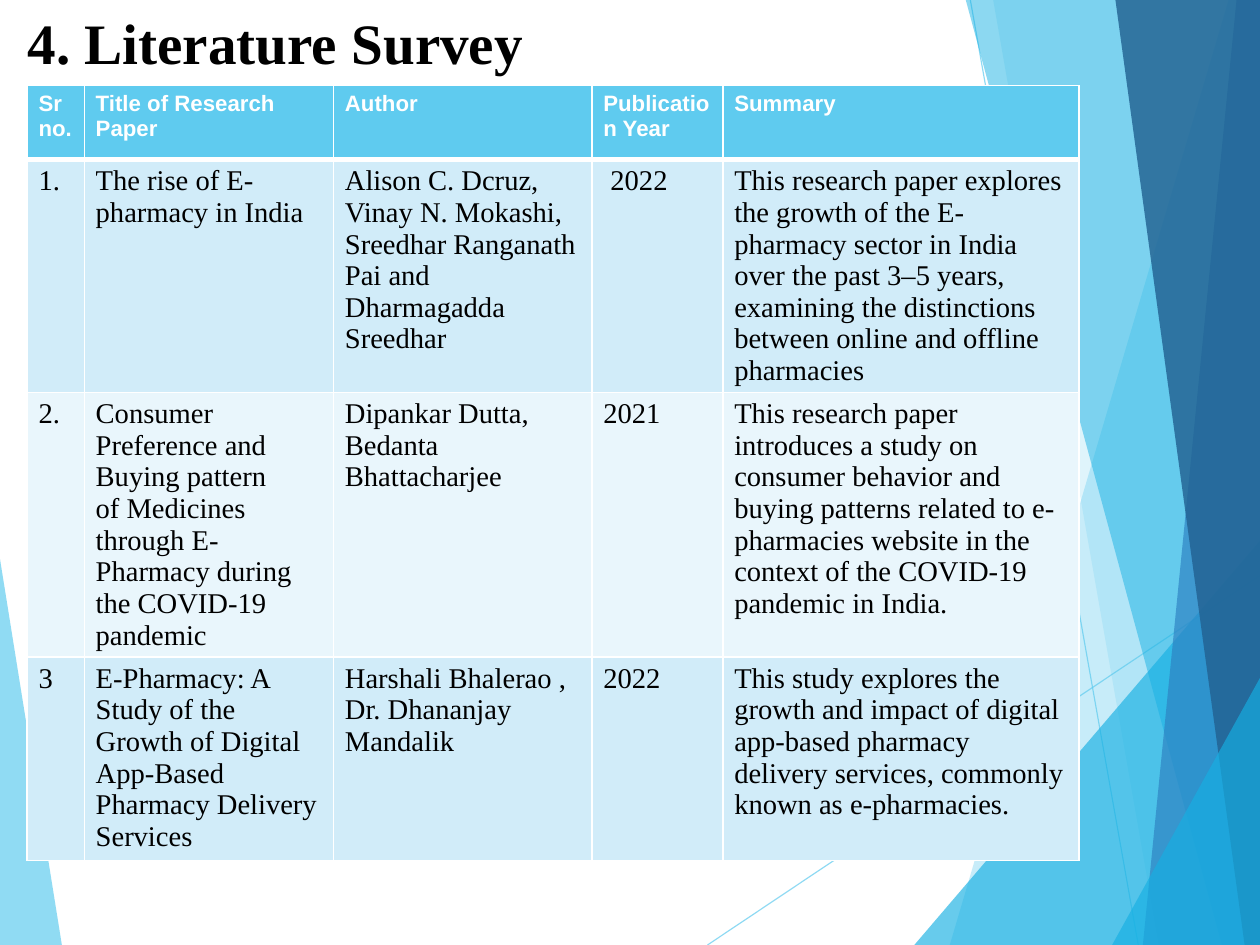
"""Builds the literature survey slide of an e-pharmacy project."""
from dataclasses import dataclass

from lxml.etree import SubElement
from pptx import Presentation
from pptx.dml.color import RGBColor as Rgb
from pptx.enum.shapes import MSO_CONNECTOR as Connector
from pptx.enum.text import MSO_ANCHOR as Anchor, MSO_AUTO_SIZE as AutoSize, PP_ALIGN as Align
from pptx.oxml.ns import qn
from pptx.util import Pt

WIDTH, HEIGHT = 793.75, 595.25
HARD_SPACE = chr(160)


@dataclass(frozen=True)
class Theme:
    """Colours, fonts and type sizes of the slide."""

    sky: str = "5FCBEF"
    cyan: str = "16B0E3"
    blue: str = "2E83C3"
    navy: str = "226292"
    band_dark: str = "D1ECF9"
    band_light: str = "E9F6FC"
    ink: str = "000000"
    paper: str = "FFFFFF"
    heading_font: str = "Arial"
    body_font: str = "Times New Roman"
    title_size: float = 36
    heading_size: float = 14
    body_size: float = 18


THEME = Theme()

LEFT_FACET = [(0, 352), (39, HEIGHT), (0, HEIGHT)]
RAYS = [((445.7, HEIGHT), (WIDTH, 362.5)), ((611.3, 0), (717.1, HEIGHT))]
RIGHT_FACETS = [
    ([(774, 0), (598.3, HEIGHT), (WIDTH, HEIGHT), (WIDTH, 0)], THEME.sky, 35),
    ([(625.7, 0), (730.1, HEIGHT), (WIDTH, HEIGHT), (WIDTH, 0)], THEME.sky, 20),
    ([(576, HEIGHT), (WIDTH, 340.6), (WIDTH, HEIGHT)], THEME.cyan, 65),
    ([(608.4, 0), (769.7, HEIGHT), (WIDTH, HEIGHT), (WIDTH, 0)], THEME.cyan, 49),
    ([(779, 0), (720, HEIGHT), (WIDTH, HEIGHT), (WIDTH, 0)], THEME.blue, 69),
    ([(702.7, 0), (784.1, HEIGHT), (WIDTH, HEIGHT), (WIDTH, 0)], THEME.navy, 82),
    ([(700.6, HEIGHT), (WIDTH, 427), (WIDTH, HEIGHT)], THEME.cyan, 65),
]

COLUMN_WIDTHS = [36, 157, 162.8, 82.5, 224.3]
ROW_HEIGHTS = [46.5, 145.4, 145.4, 128.2]
SURVEY = [
    ["Sr no.", "Title of Research Paper", "Author", "Publication Year", "Summary"],
    ["1.", "The rise of E-pharmacy in India",
     "Alison C. Dcruz, Vinay N. Mokashi, Sreedhar Ranganath Pai and Dharmagadda Sreedhar",
     f"{HARD_SPACE}2022",
     "This research paper explores the growth of the E-pharmacy sector in India over the "
     "past 3–5 years, examining the distinctions between online and offline pharmacies"],
    ["2.", f"Consumer Preference and Buying pattern of{HARD_SPACE}Medicines through "
     "E-Pharmacy during the COVID-19 pandemic",
     "Dipankar Dutta, Bedanta Bhattacharjee", "2021",
     "This research paper introduces a study on consumer behavior and buying patterns "
     "related to e-pharmacies website in the context of the COVID-19 pandemic in India."],
    ["3", "E-Pharmacy: A Study of the Growth of Digital App-Based Pharmacy Delivery Services",
     "Harshali Bhalerao , Dr. Dhananjay Mandalik", "2022",
     "This study explores the growth and impact of digital app-based pharmacy delivery "
     f"services, commonly known as e-pharmacies.{HARD_SPACE}"],
]


def write(frame, text, *, font, size, color, bold=False, spacing=None):
    """Put one left-aligned, formatted paragraph into a text frame."""
    paragraph = frame.paragraphs[0]
    paragraph.alignment = Align.LEFT
    paragraph.line_spacing = spacing
    run = paragraph.add_run()
    run.text = text
    run.font.name, run.font.size, run.font.bold = font, Pt(size), bold
    run.font.color.rgb = Rgb.from_string(color)


def fade(element, percent):
    """Make the explicit colours of an element translucent."""
    for color in element.iter(qn("a:srgbClr")):
        SubElement(color, qn("a:alpha"), val=str(percent * 1000))


def edge(cell, side, weight, color):
    """Draw one border of a table cell."""
    line = SubElement(cell._tc.get_or_add_tcPr(), qn(f"a:ln{side}"), w=str(Pt(weight)))
    SubElement(SubElement(line, qn("a:solidFill")), qn("a:srgbClr"), val=color)


class SlideBuilder:
    """Draws styled elements on the current slide."""

    def __init__(self, slide, theme):
        """Keep the slide and its style."""
        self.slide, self.shapes, self.theme = slide, slide.shapes, theme

    def facet(self, corners, color, opacity):
        """Add a translucent polygon."""
        points = [(Pt(x), Pt(y)) for x, y in corners]
        builder = self.shapes.build_freeform(*points[0])
        builder.add_line_segments(points[1:], close=True)
        facet = builder.convert_to_shape()
        facet.shadow.inherit = False
        facet.fill.solid()
        facet.fill.fore_color.rgb = Rgb.from_string(color)
        facet.line.fill.background()
        fade(facet.element, opacity)

    def ray(self, start, end, opacity):
        """Add a thin translucent line."""
        ray = self.shapes.add_connector(Connector.STRAIGHT, *map(Pt, start + end))
        ray.line.width = Pt(0.75)
        ray.line.color.rgb = Rgb.from_string(self.theme.sky)
        fade(ray.element, opacity)
        SubElement(ray.element.spPr, qn("a:effectLst"))

    def title(self, text, left, top, width, height):
        """Move the title placeholder above the background and fill it."""
        title = self.shapes.title
        self.shapes.element.append(title.element)
        title.left, title.top, title.width, title.height = map(Pt, (left, top, width, height))
        frame = title.text_frame
        frame.word_wrap, frame.auto_size = True, AutoSize.NONE
        frame.vertical_anchor = Anchor.MIDDLE
        frame.margin_left = frame.margin_right = frame.margin_bottom = 0
        frame.margin_top = Pt(2)
        write(frame, text, font=self.theme.body_font, size=self.theme.title_size,
              color=self.theme.ink, bold=True, spacing=0.93)

    def table(self, rows, left, top, widths, heights):
        """Add a banded table with a heading row."""
        table = self.shapes.add_table(len(rows), len(widths), Pt(left), Pt(top),
                                      Pt(sum(widths)), Pt(sum(heights))).table
        for column, width in zip(table.columns, widths):
            column.width = Pt(width)
        for index, (row, height) in enumerate(zip(table.rows, heights)):
            row.height = Pt(height)
            for cell, text in zip(row.cells, rows[index]):
                self.cell(cell, text, index)

    def cell(self, cell, text, row):
        """Style and fill one table cell according to its row."""
        theme = self.theme
        for side in "LRTB":
            heavy = (side, row) in (("B", 0), ("T", 1))
            edge(cell, side, 3 if heavy else 1, theme.paper)
        band = theme.band_dark if row % 2 else theme.band_light
        cell.fill.solid()
        cell.fill.fore_color.rgb = Rgb.from_string(band if row else theme.sky)
        if row:
            write(cell.text_frame, text, font=theme.body_font, size=theme.body_size,
                  color=theme.ink)
        else:
            write(cell.text_frame, text, font=theme.heading_font, size=theme.heading_size,
                  color=theme.paper, bold=True)


def main():
    """Build and save the slide."""
    deck = Presentation()
    deck.slide_width, deck.slide_height = Pt(WIDTH), Pt(HEIGHT)
    survey = SlideBuilder(deck.slides.add_slide(deck.slide_layouts[5]), THEME)
    survey.facet(LEFT_FACET, THEME.sky, 69)
    for start, end in RAYS:
        survey.ray(start, end, 69)
    for corners, color, opacity in RIGHT_FACETS:
        survey.facet(corners, color, opacity)
    survey.title("4. Literature Survey", 17.3, -22.3, 731.5, 99.4)
    survey.table(SURVEY, 17.1, 54, COLUMN_WIDTHS, ROW_HEIGHTS)
    deck.save("out.pptx")


if __name__ == "__main__":
    main()
